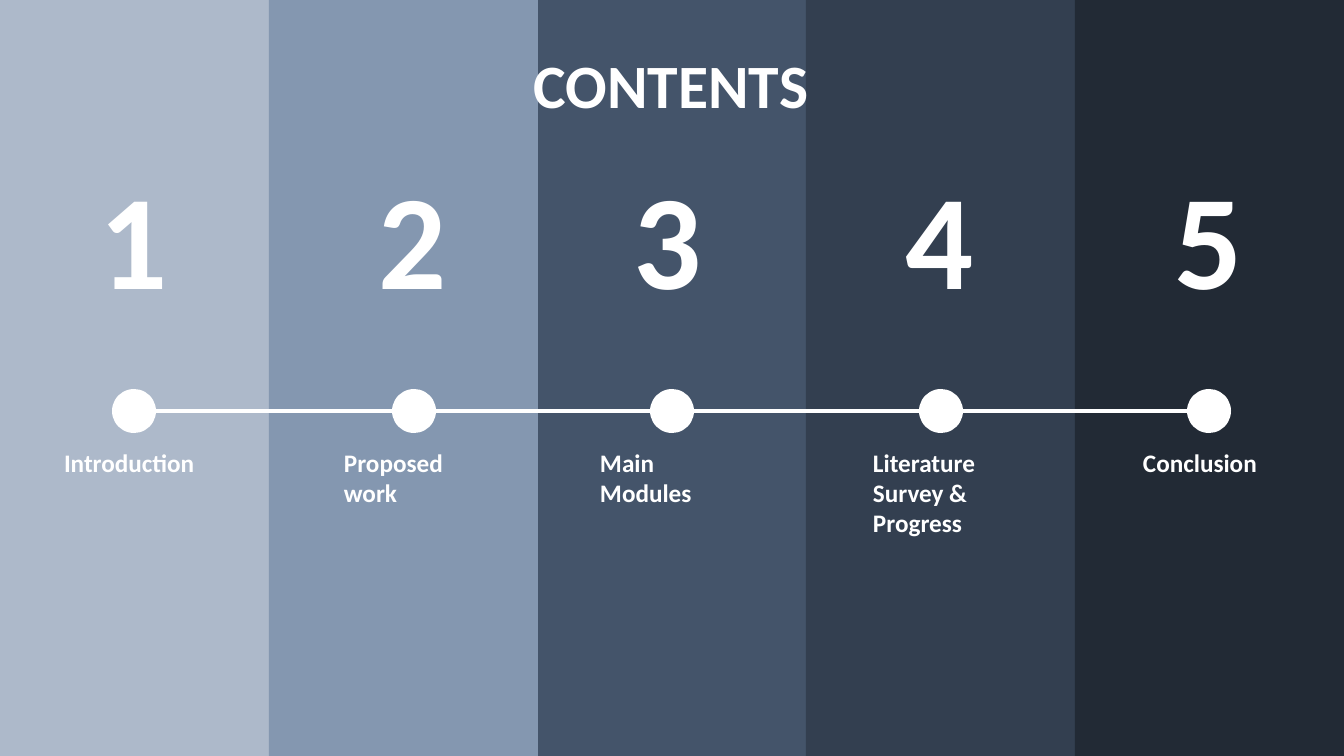
from itertools import pairwise

from lxml import etree
from pptx import Presentation
from pptx.dml.color import RGBColor
from pptx.enum.shapes import MSO_CONNECTOR, MSO_SHAPE
from pptx.enum.text import MSO_ANCHOR, MSO_AUTO_SIZE, PP_ALIGN
from pptx.oxml.ns import qn
from pptx.util import Emu, Pt

RECTANGLE = MSO_SHAPE.RECTANGLE
OVAL = MSO_SHAPE.OVAL
STRAIGHT = MSO_CONNECTOR.STRAIGHT
MIDDLE = MSO_ANCHOR.MIDDLE
FIT_SHAPE = MSO_AUTO_SIZE.SHAPE_TO_FIT_TEXT
CENTER = PP_ALIGN.CENTER

SLIDE_WIDTH, SLIDE_HEIGHT = 1344, 756
EMU_PER_PX = 12192000 / SLIDE_WIDTH
FONT = "Calibri"
WHITE = "FFFFFF"
COLUMN_COLORS = ["ADB9CA", "8497B0", "44546A", "333F50", "222A35"]
DOT_SIZE = 44
TIMELINE_Y = 411
NUMBER_TOP, NUMBER_WIDTH, NUMBER_HEIGHT = 150, 89, 173
LABEL_TOP = 447

# Each topic: label, dot centre, number left, label left, label width, label height
TOPICS = [
    ("Introduction", 134, 90, 64, 154, 30),
    ("Proposed work", 414, 369, 344, 130, 78),
    ("Main Modules", 672, 624, 600, 129, 61),
    ("Literature Survey & Progress", 941, 896, 873, 148, 92),
    ("Conclusion", 1209, 1165, 1143, 130, 30),
]


def px(length):
    """Turn pixels into EMU."""
    return Emu(round(length * EMU_PER_PX))


def color(hex_string):
    """Turn a hex string into a colour."""
    return RGBColor.from_string(hex_string)


def add_filled_shape(slide, kind, left, top, width, height, fill):
    """Add a plain shape without outline or shadow."""
    shape = slide.shapes.add_shape(kind, px(left), px(top), px(width), px(height))
    shape.shadow.inherit = False
    shape.fill.solid()
    shape.fill.fore_color.rgb = color(fill)
    shape.line.fill.background()


def add_timeline_segment(slide, start, end):
    """Add a horizontal white line between two dot centres."""
    connector = slide.shapes.add_connector(
        STRAIGHT, px(start), px(TIMELINE_Y), px(end), px(TIMELINE_Y))
    connector.line.color.rgb = color(WHITE)
    connector.line.width = Pt(2.25)
    etree.SubElement(connector._element.spPr, qn("a:effectLst"))


def add_text(slide, text, left, top, width, height, size, wrap=True):
    """Add a bold white text box and return its text frame."""
    box = slide.shapes.add_textbox(px(left), px(top), px(width), px(height))
    text_frame = box.text_frame
    text_frame.text = text
    text_frame.word_wrap = wrap
    font = text_frame.paragraphs[0].runs[0].font
    font.name = FONT
    font.size = Pt(size)
    font.bold = True
    font.color.rgb = color(WHITE)
    return text_frame


def add_columns(slide):
    """Add the five equal background columns."""
    count = len(COLUMN_COLORS)
    edges = [round(SLIDE_WIDTH * index / count) for index in range(count + 1)]
    for (left, right), fill in zip(pairwise(edges), COLUMN_COLORS):
        add_filled_shape(slide, RECTANGLE, left, 0, right - left, SLIDE_HEIGHT, fill)


def add_title(slide):
    """Add the centred slide title."""
    text_frame = add_text(slide, "CONTENTS", 167, 59, 1008, 59, 44)
    text_frame.vertical_anchor = MIDDLE
    paragraph = text_frame.paragraphs[0]
    paragraph.alignment = CENTER
    paragraph.line_spacing = 0.9


def add_topic(slide, number, topic):
    """Add the dot, number and label of one topic."""
    label, center, number_left, label_left, label_width, label_height = topic
    radius = DOT_SIZE // 2
    add_filled_shape(slide, OVAL, center - radius, TIMELINE_Y - radius,
                     DOT_SIZE, DOT_SIZE, WHITE)
    number_frame = add_text(slide, str(number), number_left, NUMBER_TOP,
                            NUMBER_WIDTH, NUMBER_HEIGHT, 96, wrap=False)
    number_frame.auto_size = FIT_SHAPE
    label_frame = add_text(slide, label, label_left, LABEL_TOP,
                           label_width, label_height, 18)
    label_frame.auto_size = FIT_SHAPE
    label_frame.margin_left = label_frame.margin_right = 0
    label_frame.margin_top = label_frame.margin_bottom = 0


def main():
    """Build the contents slide and save it."""
    presentation = Presentation()
    presentation.slide_width = px(SLIDE_WIDTH)
    presentation.slide_height = px(SLIDE_HEIGHT)
    slide = presentation.slides.add_slide(presentation.slide_layouts[6])
    add_columns(slide)
    add_title(slide)
    for start, end in pairwise(topic[1] for topic in TOPICS):
        add_timeline_segment(slide, start, end)
    for number, topic in enumerate(TOPICS, start=1):
        add_topic(slide, number, topic)
    presentation.save("out.pptx")


if __name__ == "__main__":
    main()
